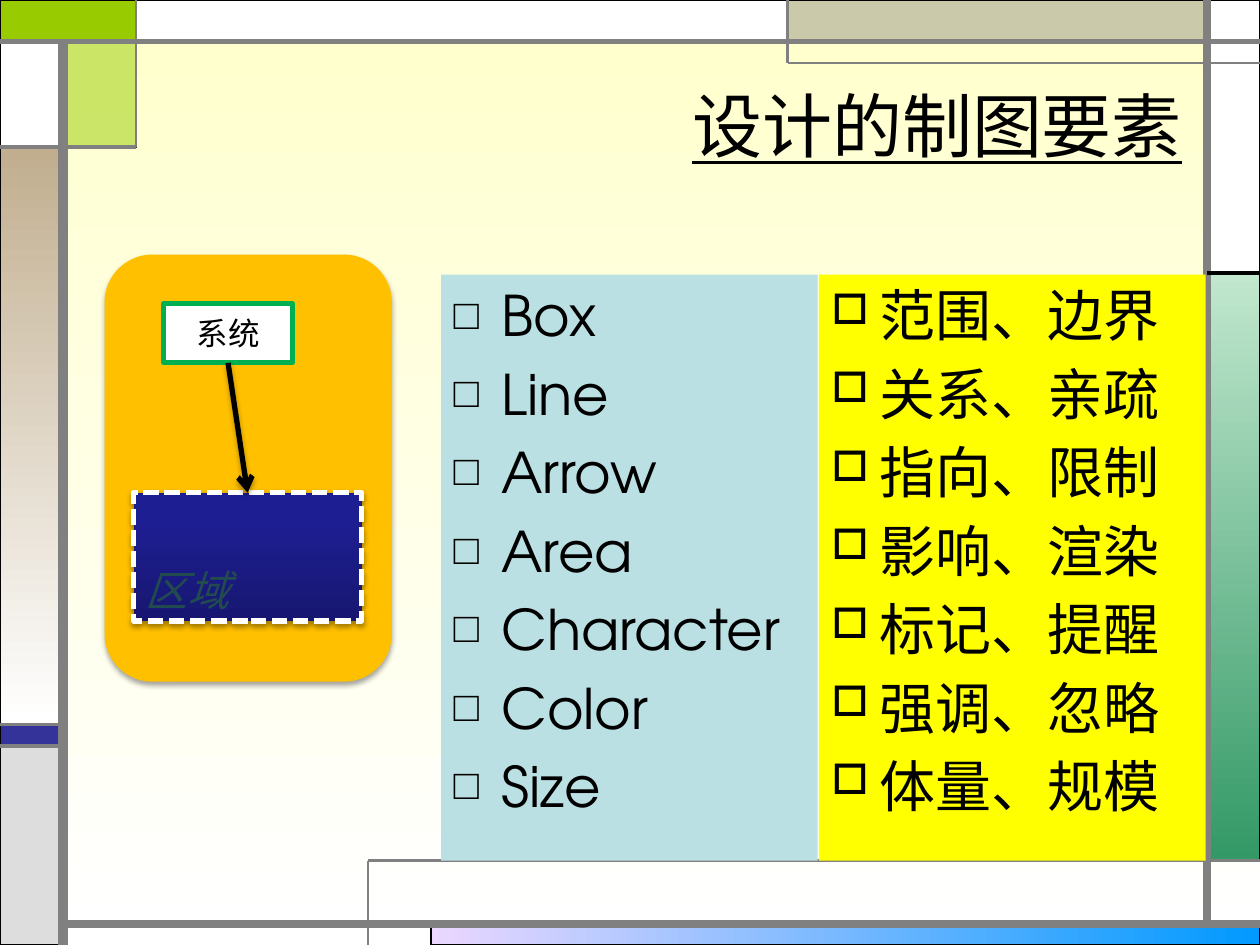
from lxml import etree
from pptx import Presentation
from pptx.dml.color import RGBColor
from pptx.enum import dml, shapes, text
from pptx.oxml import ns
from pptx.util import Inches, Pt

BLACK, WHITE = RGBColor(0, 0, 0), RGBColor(255, 255, 255)
GRAY, SILVER = RGBColor(0x80, 0x80, 0x80), RGBColor(0xDD, 0xDD, 0xDD)
LIME, KHAKI = RGBColor(0x99, 0xCC, 0), RGBColor(0xCA, 0xC9, 0xAA)
INDIGO, CREAM = RGBColor(0x33, 0x33, 0x99), RGBColor(255, 255, 0xCC)
LILAC, SKY = RGBColor(0xEB, 0xD7, 0xFF), RGBColor(0, 0x99, 0xFF)
MINT, GREEN = RGBColor(0xC1, 0xE7, 0xCE), RGBColor(0x33, 0x99, 0x66)
TAN, AMBER = RGBColor(0xC1, 0xAE, 0x8F), RGBColor(255, 0xC0, 0)
PALE_BLUE, YELLOW = RGBColor(0xBB, 0xE0, 0xE3), RGBColor(255, 255, 0)
EDGE_GREEN, DARK_TEAL = RGBColor(0, 0xB0, 0x50), RGBColor(0x22, 0x4B, 0x50)
NAVY, BLUE = RGBColor(0x17, 0x17, 0x71), RGBColor(0x1E, 0x1E, 0x93)
CJK, LATIN = "Noto Sans CJK SC", "TeX Gyre Adventor"

TITLE = "设计的制图要素"
ELEMENTS = [
    ("Box", "范围、边界"),
    ("Line", "关系、亲疏"),
    ("Arrow", "指向、限制"),
    ("Area", "影响、渲染"),
    ("Character", "标记、提醒"),
    ("Color", "强调、忽略"),
    ("Size", "体量、规模"),
]

# Grid of the frame: edges from left to right and from top to bottom
W, H = 10, 7.5
LEFT, TAB, FOOT, BAR, NOTCH, RIGHT = 0.5, 1.08, 2.92, 3.42, 6.25, 9.58
TOP, SHELF, CORNER, SIDE, BAND, BAND_END, BASE, BOTTOM = (
    0.33, 0.5, 1.17, 2.17, 5.75, 5.92, 6.83, 7.33)

# x1, y1, x2, y2, fill (a colour, or two colours and an angle)
FRAME_BLOCKS = [
    (BAR, BOTTOM, W, H, (LILAC, SKY, 0)),
    (RIGHT, SIDE, W, BASE, (MINT, GREEN, 270)),
    (0, BAND, LEFT, BAND_END, INDIGO),
    (0, BAND_END, LEFT, H, SILVER),
    (RIGHT, 0, W, SIDE, WHITE),
    (NOTCH, 0, RIGHT, TOP, KHAKI),
    (LEFT, TOP, TAB, CORNER, LIME),
    (0, CORNER, LEFT, BAND, (TAN, WHITE, 270)),
    (0, TOP, LEFT, CORNER, WHITE),
    (0, 0, TAB, TOP, LIME),
    (TAB, 0, NOTCH, TOP, WHITE),
]
# x1, y1, x2, y2, width, colour
FRAME_LINES = [
    (LEFT, H, LEFT, TOP, 6, GRAY),
    (LEFT, BOTTOM, W, BOTTOM, 4.5, GRAY),
    (RIGHT, BOTTOM, RIGHT, 0, 4.5, GRAY),
    (0, TOP, W, TOP, 3, GRAY),
    (W, SHELF, NOTCH, SHELF, 1.5, GRAY),
    (NOTCH, SHELF, NOTCH, 0, 1.5, GRAY),
    (RIGHT, SIDE, W, SIDE, 2.25, BLACK),
    (TAB, 0, TAB, CORNER, 1.5, GRAY),
    (TAB, CORNER, 0, CORNER, 2.25, GRAY),
    (FOOT, H, FOOT, BASE, 1.5, GRAY),
    (FOOT, BASE, W, BASE, 1.5, GRAY),
    (LEFT, BAND, 0, BAND, 2.25, GRAY),
    (LEFT, BAND_END, 0, BAND_END, 2.25, GRAY),
]


def add_xml(parent, tag, **attrs):
    return etree.SubElement(parent, ns.qn(tag), attrs)


def paint(fill, colour, end_at=1):
    if isinstance(colour, RGBColor):
        fill.solid()
        fill.fore_color.rgb = colour
        return
    fill.gradient()
    fill.gradient_angle = colour[2]
    for stop, rgb, position in zip(fill.gradient_stops, colour, (0, end_at)):
        stop.color.rgb = rgb
        stop.position = position


def outline(sp, colour, width):
    sp.line.color.rgb = colour
    sp.line.width = Pt(width)


def add_block(s, box, colour, kind=shapes.MSO_SHAPE.RECTANGLE, end_at=1):
    sp = s.shapes.add_shape(kind, *map(Inches, box))
    sp.shadow.inherit = False
    paint(sp.fill, colour, end_at)
    sp.line.fill.background()
    return sp


def add_line(s, x1, y1, x2, y2, width, colour):
    line = s.shapes.add_connector(shapes.MSO_CONNECTOR.STRAIGHT, *map(Inches, (x1, y1, x2, y2)))
    outline(line, colour, width)
    add_xml(line._element.spPr, "a:effectLst")
    return line


def cast_shadow(sp):
    effects = sp._element.spPr.find(ns.qn("a:effectLst"))
    shadow = add_xml(effects, "a:outerShdw", blurRad=str(Pt(3.1)), dist=str(Pt(1.8)),
                     dir="5400000", rotWithShape="0")
    add_xml(add_xml(shadow, "a:srgbClr", val=str(BLACK)), "a:alpha", val="35000")


def write(p, words, font=LATIN, colour=BLACK, align=text.PP_ALIGN.LEFT, **formats):
    p.alignment = align
    r = p.add_run()
    r.text = words
    for name, value in dict(formats, name=font).items():
        setattr(r.font, name, value)
    r.font.color.rgb = colour
    add_xml(r._r.get_or_add_rPr(), "a:ea", typeface=font)


def frame(sp, anchor):
    tf = sp.text_frame
    for name, value in dict(word_wrap=True, auto_size=text.MSO_AUTO_SIZE.NONE,
                            vertical_anchor=anchor).items():
        setattr(tf, name, value)
    return tf


def write_list(sp, items):
    tf = frame(sp, text.MSO_ANCHOR.TOP)
    for i, item in enumerate(items):
        p = tf.add_paragraph() if i else tf.paragraphs[0]
        write(p, item, size=Pt(32))
        pPr = p._p.get_or_add_pPr()
        pPr.set("marL", str(Inches(0.38)))
        pPr.set("indent", str(Inches(-0.38)))
        add_xml(add_xml(pPr, "a:spcBef"), "a:spcPct", val="20000")
        add_xml(add_xml(pPr, "a:buClr"), "a:srgbClr", val=str(BLACK))
        add_xml(pPr, "a:buSzPct", val="75000")
        add_xml(pPr, "a:buChar", char="□")


def place(s, sp, box):
    """Move a placeholder to its box, in front of what is drawn so far."""
    sp.left, sp.top, sp.width, sp.height = map(Inches, box)
    s.shapes._spTree.append(sp._element)


def add_frame(s):
    for x1, y1, x2, y2, colour in FRAME_BLOCKS:
        block = add_block(s, (x1, y1, x2 - x1, y2 - y1), colour)
        outline(block, BLACK, 0.75)
        if (x1, y1) == (LEFT, TOP):
            rgb = block._element.spPr.find(ns.qn("a:solidFill"))[0]
            add_xml(rgb, "a:alpha", val="50000")
    for line in FRAME_LINES:
        add_line(s, *line)


def add_diagram(s):
    system = add_block(s, (1.3, 2.41, 1.02, 0.47), WHITE)
    outline(system, EDGE_GREEN, 3)
    tf = frame(system, text.MSO_ANCHOR.MIDDLE)
    write(tf.paragraphs[0], "系统", align=text.PP_ALIGN.CENTER, size=Pt(18))

    area = add_block(s, (1.06, 3.91, 1.81, 1.02), (NAVY, BLUE, 90), end_at=0.8)
    outline(area, WHITE, 3)
    area.line.dash_style = dml.MSO_LINE.SQUARE_DOT
    cast_shadow(area)
    tf = frame(area, text.MSO_ANCHOR.BOTTOM)
    write(tf.paragraphs[0], "区域", colour=DARK_TEAL, size=Pt(24), italic=True)

    arrow = add_line(s, 1.81, 2.88, 1.97, 3.91, 3, BLACK)
    arrow.begin_connect(system, 2)
    arrow.end_connect(area, 0)
    add_xml(arrow.line._get_or_add_ln(), "a:tailEnd", type="arrow")
    cast_shadow(arrow)


def main():
    prs = Presentation()
    prs.slide_width, prs.slide_height = Inches(W), Inches(H)
    s = prs.slides.add_slide(prs.slide_layouts[1])
    paint(s.background.fill, (CREAM, WHITE, 270))
    title, body = s.placeholders
    add_frame(s)
    panel = add_block(s, (0.83, 2.02, 2.28, 3.39), AMBER, shapes.MSO_SHAPE.ROUNDED_RECTANGLE)
    cast_shadow(panel)

    place(s, title, (0.98, 0.36, 8.5, 1.25))
    write(frame(title, text.MSO_ANCHOR.MIDDLE).paragraphs[0], TITLE, CJK,
          align=text.PP_ALIGN.RIGHT, size=Pt(40), underline=True)
    names, meanings = zip(*ELEMENTS)
    place(s, body, (3.5, 2.18, 2.99, 4.65))
    paint(body.fill, PALE_BLUE)
    write_list(body, names)
    write_list(add_block(s, (6.5, 2.18, 3.07, 4.65), YELLOW), meanings)
    add_diagram(s)
    prs.save("out.pptx")


if __name__ == "__main__":
    main()
